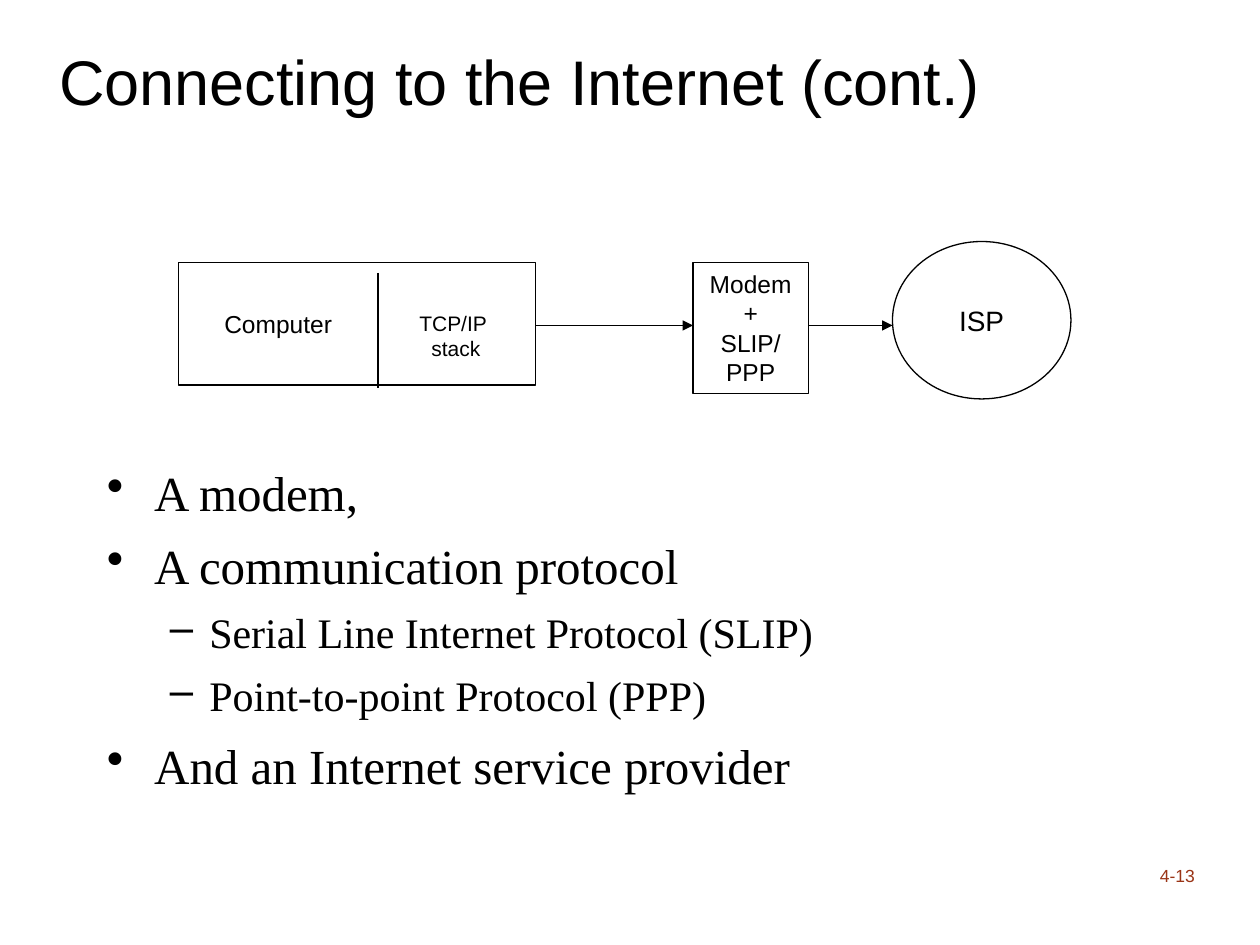
"""Build the slide about connecting a computer to the Internet."""
from dataclasses import dataclass
from typing import Optional

from lxml import etree
from pptx import Presentation
from pptx.dml.color import RGBColor
from pptx.enum.shapes import MSO_CONNECTOR, MSO_SHAPE
from pptx.enum.text import MSO_ANCHOR, PP_ALIGN
from pptx.oxml.ns import qn
from pptx.util import Pt

BLACK = RGBColor(0x00, 0x00, 0x00)
WHITE = RGBColor(0xFF, 0xFF, 0xFF)
RUST = RGBColor(0x9A, 0x34, 0x16)
LEFT, CENTER, RIGHT = PP_ALIGN.LEFT, PP_ALIGN.CENTER, PP_ALIGN.RIGHT
TOP, MIDDLE, BOTTOM = MSO_ANCHOR.TOP, MSO_ANCHOR.MIDDLE, MSO_ANCHOR.BOTTOM
RECTANGLE, OVAL = MSO_SHAPE.RECTANGLE, MSO_SHAPE.OVAL
STRAIGHT = MSO_CONNECTOR.STRAIGHT
SANS, SERIF = "Arial", "Times New Roman"
ARROW_Y = 186


@dataclass(frozen=True)
class Box:
    left: float
    top: float
    width: float
    height: float
    lines: tuple[str, ...] = ()
    size: float = 14
    align: PP_ALIGN = CENTER
    anchor: MSO_ANCHOR = TOP
    color: RGBColor = BLACK
    line_spacing: float = 1.0
    wrap: bool = True
    outline: Optional[MSO_SHAPE] = None
    fill: Optional[RGBColor] = None


@dataclass(frozen=True)
class Line:
    start: tuple[float, float]
    end: tuple[float, float]
    width: float = 0.75
    arrow: bool = True


@dataclass(frozen=True)
class Level:
    bullet: str
    margin: float
    hanging: float
    size: float
    space_before: float


MAIN = Level("•", 27, 27, 28, 8.4)
SUB = Level("–", 58.5, 22.5, 24, 7.2)

BOXES = (
    Box(635.75, 473.75, 54, 36, ("4-13",), 10, RIGHT, BOTTOM, RUST),
    Box(26.75, 3.75, 630, 90, ("Connecting to the Internet (cont.)",), 36, LEFT, MIDDLE,
        line_spacing=0.9),
    Box(102, 156, 114, 58, ("Computer",), anchor=MIDDLE),
    Box(215.5, 174, 90, 36, ("TCP/IP ", "stack"), 12),
    Box(102, 150, 204, 70, outline=RECTANGLE),
    Box(396, 150, 66, 75, ("Modem", "+", "SLIP/PPP"), outline=RECTANGLE),
    Box(510, 138, 102, 90, ("ISP",), 16, anchor=MIDDLE, wrap=False, outline=OVAL, fill=WHITE),
)

LINES = (
    Line((216, 156), (216, 222), arrow=False),
    Line((462, ARROW_Y), (510, ARROW_Y)),
    Line((306, ARROW_Y), (396, ARROW_Y), width=1),
)

BULLETS = (
    (MAIN, "A modem,"),
    (MAIN, "A communication protocol"),
    (SUB, "Serial Line Internet Protocol (SLIP)"),
    (SUB, "Point-to-point Protocol (PPP)"),
    (MAIN, "And an Internet service provider"),
)


def apply_format(target: object, values: dict[str, object]) -> None:
    """Set every named attribute on the target."""
    for name, value in values.items():
        setattr(target, name, value)


def style_font(paragraph, name: str, size: float, color: RGBColor) -> None:
    """Give a paragraph its font, size and colour."""
    apply_format(paragraph.font, {"name": name, "size": Pt(size)})
    paragraph.font.color.rgb = color


def draw_box(slide, box: Box) -> None:
    """Draw a text box or an outlined shape with its lines of text."""
    place = [Pt(value) for value in (box.left, box.top, box.width, box.height)]
    if box.outline is None:
        shape = slide.shapes.add_textbox(*place)
    else:
        shape = slide.shapes.add_shape(box.outline, *place)
        shape.shadow.inherit = False
        shape.line.color.rgb = BLACK
        shape.line.width = Pt(0.75)
        if box.fill is None:
            shape.fill.background()
        else:
            shape.fill.solid()
            shape.fill.fore_color.rgb = box.fill
    frame = shape.text_frame
    apply_format(frame, {"word_wrap": box.wrap, "vertical_anchor": box.anchor})
    if not box.lines:
        return
    frame.text = "\n".join(box.lines)
    for paragraph in frame.paragraphs:
        apply_format(paragraph, {"alignment": box.align, "line_spacing": box.line_spacing})
        style_font(paragraph, SANS, box.size, box.color)


def draw_line(slide, line: Line) -> None:
    """Draw a straight line, with an arrowhead at its end if wanted."""
    connector = slide.shapes.add_connector(
        STRAIGHT, *(Pt(value) for value in line.start + line.end))
    connector.line.color.rgb = BLACK
    connector.line.width = Pt(line.width)
    properties = connector._element.spPr
    if line.arrow:
        etree.SubElement(properties.find(qn("a:ln")), qn("a:tailEnd"), type="triangle")
    etree.SubElement(properties, qn("a:effectLst"))


def draw_bullets(slide) -> None:
    """Draw the two-level bulleted list."""
    frame = slide.shapes.add_textbox(Pt(54), Pt(258), Pt(630), Pt(201)).text_frame
    apply_format(frame, {"word_wrap": True, "margin_top": Pt(6)})
    frame.text = "\n".join(text for _, text in BULLETS)
    for index, (paragraph, (level, _)) in enumerate(zip(frame.paragraphs, BULLETS)):
        properties = paragraph._p.get_or_add_pPr()
        properties.set("marL", str(Pt(level.margin)))
        properties.set("indent", str(-Pt(level.hanging)))
        etree.SubElement(properties, qn("a:buChar"), char=level.bullet)
        apply_format(paragraph, {
            "level": int(level is SUB),
            "space_before": Pt(level.space_before if index else 0),
        })
        style_font(paragraph, SERIF, level.size, BLACK)


def main() -> None:
    """Build and save the presentation."""
    presentation = Presentation()
    apply_format(presentation, {"slide_width": Pt(720), "slide_height": Pt(540)})
    slide = presentation.slides.add_slide(presentation.slide_layouts[6])
    for box in BOXES:
        draw_box(slide, box)
    for line in LINES:
        draw_line(slide, line)
    draw_bullets(slide)
    presentation.save("out.pptx")


if __name__ == "__main__":
    main()
